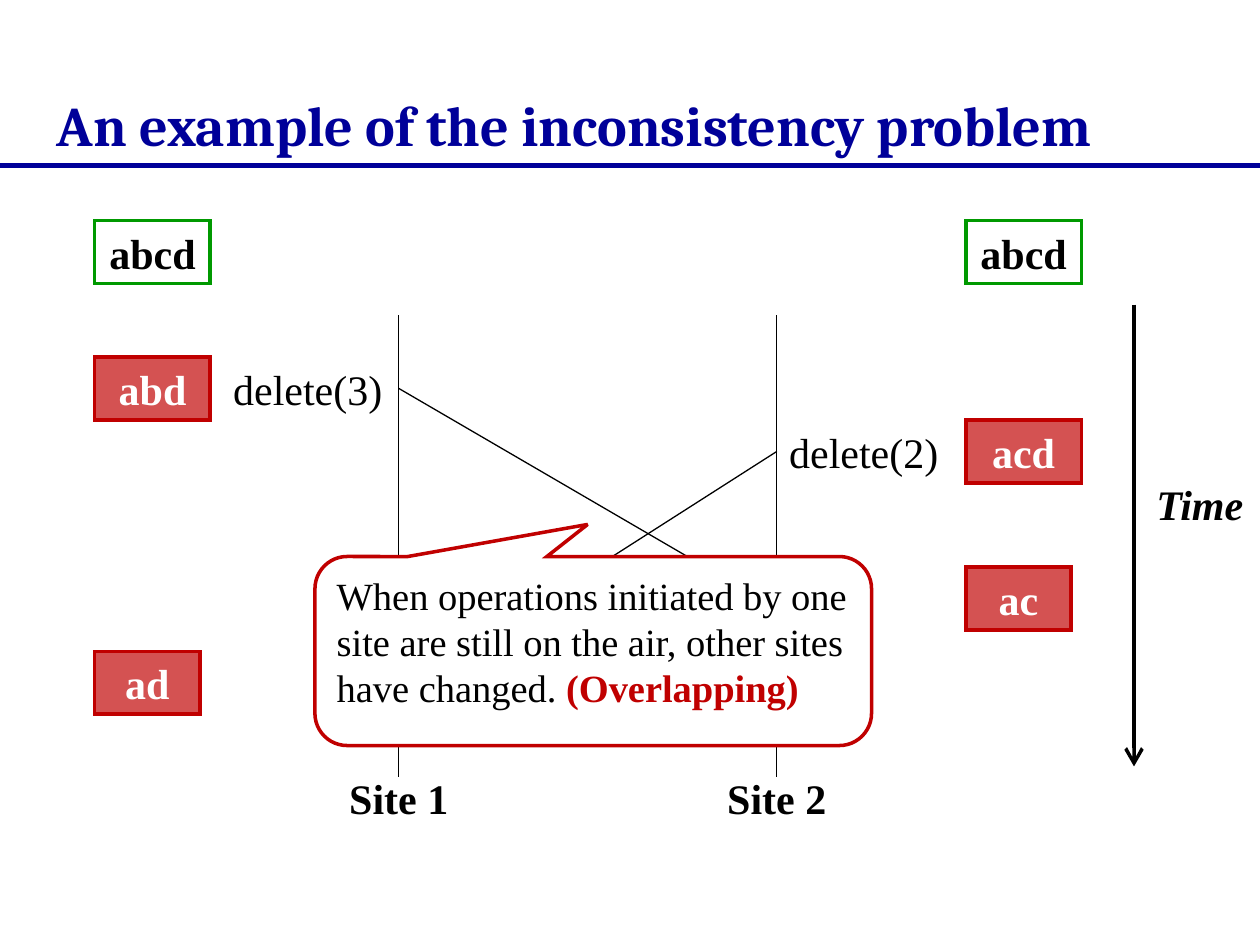
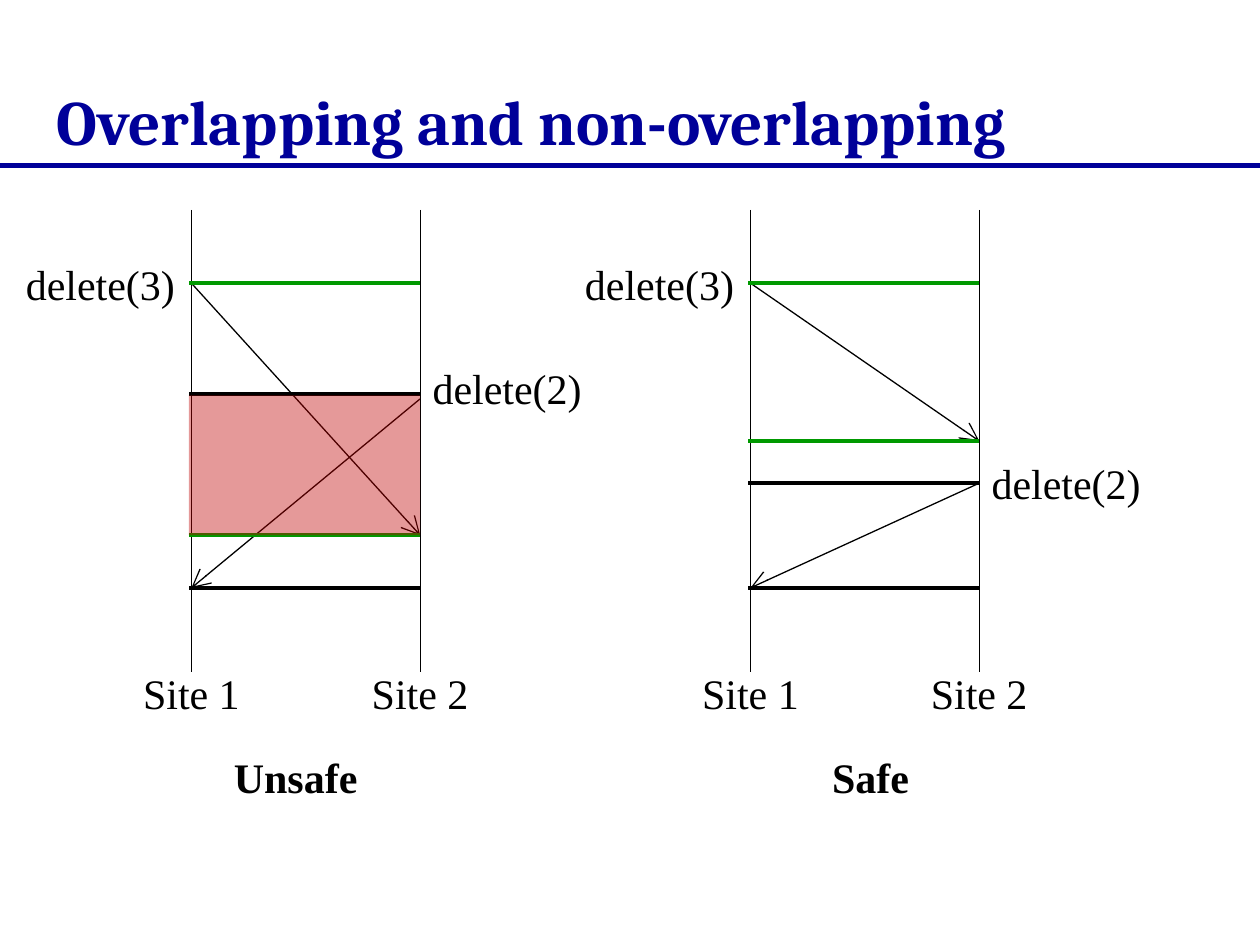
from dataclasses import dataclass

from lxml import etree
from pptx import Presentation
from pptx.dml.color import RGBColor
from pptx.enum import shapes, text
from pptx.oxml import ns
from pptx.util import Cm, Pt

NAVY = RGBColor(0x00, 0x00, 0x99)
GREEN = RGBColor(0x00, 0x99, 0x00)
RED = RGBColor(0xC0, 0x00, 0x00)
BLACK = RGBColor(0x00, 0x00, 0x00)
WHITE = RGBColor(0xFF, 0xFF, 0xFF)
TITLE_FONT = "Cambria"
BODY_FONT = "Times New Roman"
SLIDE_WIDTH, SLIDE_HEIGHT = 25.4, 19.05
LABEL_HEIGHT = 1.27
OPERATION_WIDTH = 3.7
AXIS_HEIGHT = 9.31
LEFT, CENTER, RIGHT = text.PP_ALIGN.LEFT, text.PP_ALIGN.CENTER, text.PP_ALIGN.RIGHT


@dataclass
class Operation:
    label: str
    sent: float
    arrived: float
    label_top: float


def style(paragraph, size=24, color=BLACK, bold=False, italic=False,
          font=BODY_FONT, align=LEFT):
    paragraph.alignment = align
    paragraph.font.name = font
    paragraph.font.size = Pt(size)
    paragraph.font.bold = bold
    paragraph.font.italic = italic
    paragraph.font.color.rgb = color


def add_label(slide, words, left, top, width, height=LABEL_HEIGHT, **look):
    frame = slide.shapes.add_textbox(Cm(left), Cm(top), Cm(width), Cm(height)).text_frame
    frame.word_wrap = False
    frame.text = words
    style(frame.paragraphs[0], **look)
    return frame


def add_line(slide, x1, y1, x2, y2, color=BLACK, weight=0.75, arrow=False):
    line = slide.shapes.add_connector(
        shapes.MSO_CONNECTOR.STRAIGHT, Cm(x1), Cm(y1), Cm(x2), Cm(y2))
    line.line.color.rgb = color
    line.line.width = Pt(weight)
    if arrow:
        etree.SubElement(line.line._get_or_add_ln(), ns.qn("a:tailEnd"),
                         type="arrow", w="lg", len="lg")
    etree.SubElement(line._element.spPr, ns.qn("a:effectLst"))


def add_panel(slide, kind, left, top, width, height, fill, outline=None, opacity=None):
    panel = slide.shapes.add_shape(kind, Cm(left), Cm(top), Cm(width), Cm(height))
    panel.shadow.inherit = False
    panel.fill.solid()
    panel.fill.fore_color.rgb = fill
    if opacity:
        tint = panel._element.spPr.find(".//" + ns.qn("a:srgbClr"))
        etree.SubElement(tint, ns.qn("a:alpha"), val=str(opacity * 1000))
    if outline is None:
        panel.line.fill.background()
    else:
        panel.line.color.rgb = outline
        panel.line.width = Pt(2)
        etree.SubElement(panel.line._get_or_add_ln(), ns.qn("a:miter"), lim="800000")
    return panel


def add_titled_slide(deck, title, size):
    slide = deck.slides.add_slide(deck.slide_layouts[6])
    add_line(slide, 0, 3.33, SLIDE_WIDTH, 3.33, NAVY, 3)
    frame = add_label(slide, title, 0.9, 1.53, 24, 1.78,
                      size=size, color=NAVY, bold=True, font=TITLE_FONT)
    frame.vertical_anchor = text.MSO_ANCHOR.BOTTOM
    return slide


def add_sites(slide, left, top, width, first, second, bold=False):
    right = left + width
    for site, x in (("Site 1", left), ("Site 2", right)):
        add_line(slide, x, top, x, top + AXIS_HEIGHT)
        add_label(slide, site, x - 1.25, top + AXIS_HEIGHT - 0.21, 2.5,
                  bold=bold, align=CENTER)
    for operation, start, end in ((first, left, right), (second, right, left)):
        add_line(slide, start, top + operation.sent, end, top + operation.arrived, arrow=True)
    add_label(slide, first.label, left - 0.08 - OPERATION_WIDTH, top + first.label_top,
              OPERATION_WIDTH, align=RIGHT)
    add_label(slide, second.label, right, top + second.label_top, OPERATION_WIDTH)


def add_intervals(slide, left, top, width, intervals):
    for begin, end, color in intervals:
        for y in (begin, end):
            add_line(slide, left - 0.05, top + y, left + width, top + y, color, 2)
    overlap_top = max(begin for begin, _, _ in intervals)
    overlap_bottom = min(end for _, end, _ in intervals)
    if overlap_top < overlap_bottom:
        add_panel(slide, shapes.MSO_SHAPE.RECTANGLE, left - 0.05, top + overlap_top + 0.03,
                  width + 0.05, overlap_bottom - overlap_top - 0.03, RED, opacity=40)


def add_state(slide, document, left, top, width, initial=False):
    fill, outline, ink, opacity = (
        (WHITE, GREEN, BLACK, None) if initial else (RED, RED, WHITE, 68))
    state = add_panel(slide, shapes.MSO_SHAPE.RECTANGLE, left, top, width, LABEL_HEIGHT,
                      fill, outline, opacity)
    frame = state.text_frame
    frame.word_wrap = False
    frame.vertical_anchor = text.MSO_ANCHOR.MIDDLE
    frame.text = document
    style(frame.paragraphs[0], color=ink, bold=True, align=CENTER)


def add_states(slide, left, states):
    for row, (document, top, width) in enumerate(states):
        add_state(slide, document, left, top, width, initial=row == 0)


def add_overlap_callout(slide, left, top, width, height):
    callout = add_panel(slide, shapes.MSO_SHAPE.ROUNDED_RECTANGULAR_CALLOUT,
                        left, top, width, height, WHITE, RED)
    callout.adjustments[0] = -0.01
    callout.adjustments[1] = -0.67
    callout.adjustments[2] = 0.17
    frame = callout.text_frame
    frame.word_wrap = True
    frame.vertical_anchor = text.MSO_ANCHOR.TOP
    paragraph = frame.paragraphs[0]
    style(paragraph, size=22)
    paragraph.add_run().text = ("When operations initiated by one site are still on the air, "
                                "other sites have changed. ")
    emphasis = paragraph.add_run()
    emphasis.text = "(Overlapping)"
    emphasis.font.bold = True
    emphasis.font.color.rgb = RED


def add_time_axis(slide, left, top, height):
    add_line(slide, left, top, left, top + height, weight=2, arrow=True)
    add_label(slide, "Time", left + 0.2, top + 3.38, 2.29, bold=True, italic=True)


def build_inconsistency_slide(deck):
    slide = add_titled_slide(deck, "An example of the inconsistency problem", 32)
    add_sites(slide, 8.04, 6.35, 7.62,
              Operation("delete(3)", 1.48, 5.92, 0.86),
              Operation("delete(2)", 2.75, 7.62, 2.13), bold=True)
    add_states(slide, 1.91, [("abcd", 4.45, 2.33), ("abd", 7.2, 2.33), ("ad", 13.13, 2.12)])
    add_states(slide, 19.47, [("abcd", 4.45, 2.33), ("acd", 8.47, 2.33), ("ac", 11.43, 2.12)])
    add_overlap_callout(slide, 6.35, 11.22, 11.22, 3.81)
    add_time_axis(slide, 22.86, 6.14, 9.31)


def add_scenario(slide, left, caption, caption_center, first, second, intervals):
    top, width = 4.23, 4.61
    add_sites(slide, left, top, width, first, second)
    add_intervals(slide, left, top, width, intervals)
    add_label(slide, caption, left + caption_center - 1.5, top + 10.79, 3,
              bold=True, align=CENTER)


def build_overlapping_slide(deck):
    slide = add_titled_slide(deck, "Overlapping and non-overlapping", 36)
    add_scenario(slide, 3.86, "Unsafe", 2.1,
                 Operation("delete(3)", 1.48, 6.56, 0.86),
                 Operation("delete(2)", 3.81, 7.62, 2.96),
                 [(1.48, 6.56, GREEN), (3.71, 7.62, BLACK)])
    add_scenario(slide, 15.13, "Safe", 2.42,
                 Operation("delete(3)", 1.48, 4.66, 0.86),
                 Operation("delete(2)", 5.51, 7.62, 4.87),
                 [(1.48, 4.66, GREEN), (5.51, 7.62, BLACK)])


def main():
    deck = Presentation()
    deck.slide_width, deck.slide_height = Cm(SLIDE_WIDTH), Cm(SLIDE_HEIGHT)
    build_inconsistency_slide(deck)
    build_overlapping_slide(deck)
    deck.save("out.pptx")


if __name__ == "__main__":
    main()
